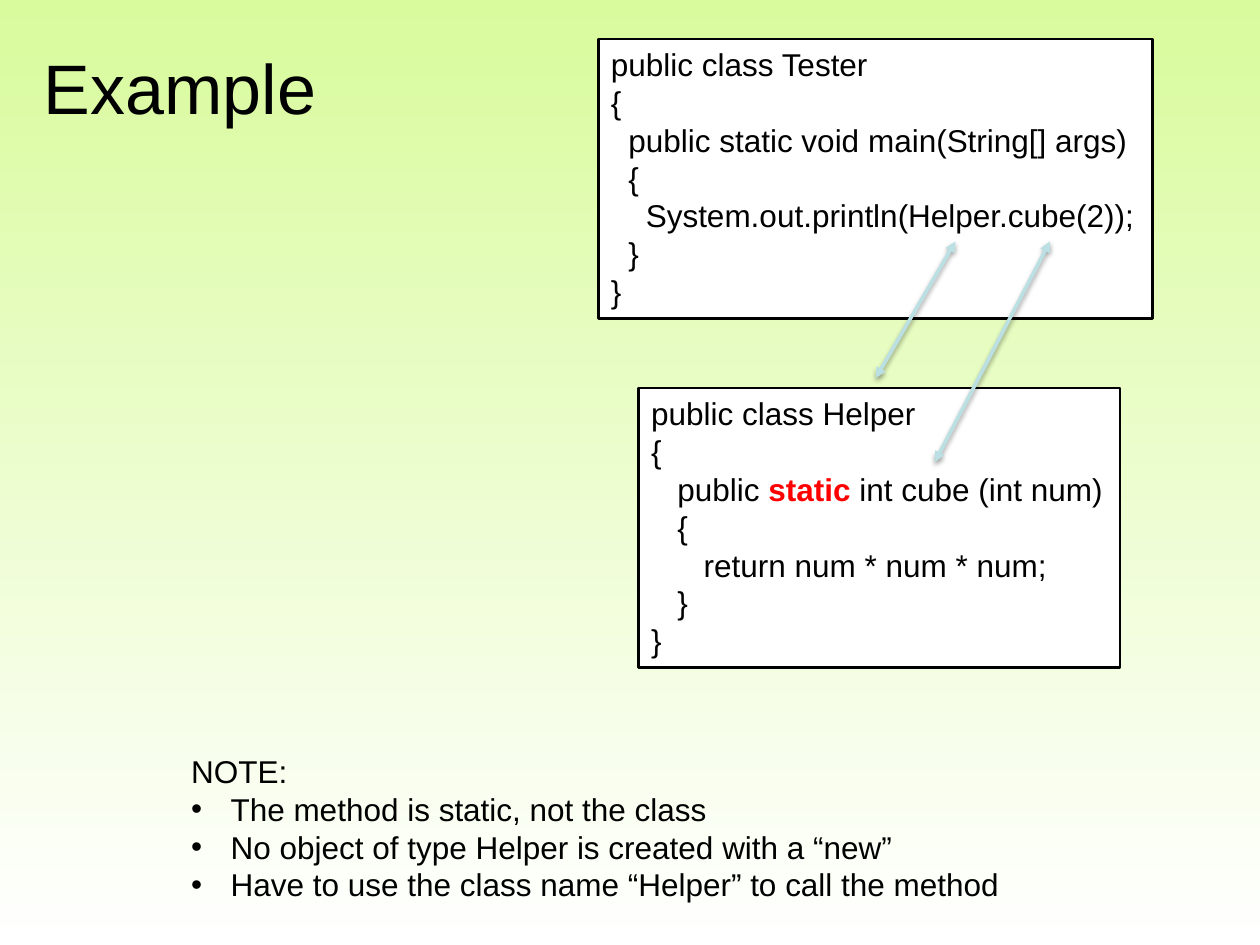
from lxml.etree import SubElement
from pptx import Presentation
from pptx.dml.color import RGBColor
from pptx.enum.shapes import MSO_CONNECTOR, MSO_SHAPE
from pptx.enum.text import MSO_ANCHOR, MSO_AUTO_SIZE, PP_ALIGN
from pptx.oxml.ns import qn
from pptx.util import Pt

FONT = "Arial"
BLACK, WHITE, RED, TEAL = "000000", "FFFFFF", "FF0000", "BBE0E3"
SKY = ("D9FB9D", WHITE)

# Content: each line is a list of (text, colour) runs or a plain string
TITLE = ["Example"]
TESTER = [
    "public class Tester",
    "{",
    "  public static void main(String[] args)",
    "  {",
    "    System.out.println(Helper.cube(2));",
    "  }",
    "}",
]
HELPER = [
    "public class Helper",
    "{",
    [("   public ", BLACK), ("static ", RED), ("int cube (int num)", BLACK)],
    "   {",
    "      return num * num * num;",
    "   }",
    "}",
]
NOTE = ["NOTE:"]
POINTS = [
    "The method is static, not the class",
    "No object of type Helper is created with a “new”",
    "Have to use the class name “Helper” to call the method",
]

# Places in points: left, top, width, height
TITLE_AT = (18, 21.6, 684, 56.2)
CODE = [(TESTER, (342, 22.3, 316.8, 159.8)), (HELPER, (365, 221.8, 275, 159.8))]
NOTE_AT = (102.2, 426.2, 480.2, 94.3)
# Arrows: from x, y, to x, y
ARROWS = [(546, 138, 500.4, 216), (600, 138, 534.2, 264)]
INDENT = 22.5


def tint(code):
    return RGBColor.from_string(code)


def pts(nums):
    return [Pt(n) for n in nums]


def write(frame, lines, size=18, bullets=0):
    """Fill a frame; the last `bullets` lines get a bullet."""
    for i, line in enumerate(lines):
        para = frame.paragraphs[0] if i == 0 else frame.add_paragraph()
        para.alignment = PP_ALIGN.LEFT
        if i >= len(lines) - bullets:
            props = para._p.get_or_add_pPr()
            props.set("marL", str(Pt(INDENT)))
            props.set("indent", str(-Pt(INDENT)))
            SubElement(props, qn("a:buFont"), typeface=FONT)
            SubElement(props, qn("a:buChar"), char="•")
        for text, color in [(line, BLACK)] if isinstance(line, str) else line:
            run = para.add_run()
            run.text = text
            font = run.font
            font.name, font.size = FONT, Pt(size)
            font.bold = color == RED
            font.color.rgb = tint(color)


def fit(frame):
    frame.word_wrap = False
    frame.auto_size = MSO_AUTO_SIZE.SHAPE_TO_FIT_TEXT


def add_arrow(shapes, ends):
    arrow = shapes.add_connector(MSO_CONNECTOR.STRAIGHT, *pts(ends))
    arrow.line.color.rgb = tint(TEAL)
    arrow.line.width = Pt(2)
    stroke = arrow.line._get_or_add_ln()
    for end in ("a:headEnd", "a:tailEnd"):
        SubElement(stroke, qn(end), type="triangle")
    # Soft shadow straight below
    effects = SubElement(arrow._element.spPr, qn("a:effectLst"))
    shade = SubElement(effects, qn("a:outerShdw"), blurRad=str(Pt(3.1)),
                       dist=str(Pt(1.6)), dir="5400000", rotWithShape="0")
    color = SubElement(shade, qn("a:srgbClr"), val=BLACK)
    SubElement(color, qn("a:alpha"), val="38000")


def main():
    deck = Presentation()
    deck.slide_width, deck.slide_height = Pt(720), Pt(540)
    slide = deck.slides.add_slide(deck.slide_layouts[6])
    shapes = slide.shapes

    # Background, green at the top
    fill = slide.background.fill
    fill.gradient()
    fill.gradient_angle = 270
    for stop, color in zip(fill.gradient_stops, SKY):
        stop.color.rgb = tint(color)

    # Title
    frame = shapes.add_textbox(*pts(TITLE_AT)).text_frame
    frame.word_wrap = True
    frame.vertical_anchor = MSO_ANCHOR.MIDDLE
    write(frame, TITLE, 40)

    # Code boxes
    for lines, place in CODE:
        box = shapes.add_shape(MSO_SHAPE.RECTANGLE, *pts(place))
        box.shadow.inherit = False
        box.fill.solid()
        box.fill.fore_color.rgb = tint(WHITE)
        box.line.color.rgb = tint(BLACK)
        box.line.width = Pt(1.5)
        box.text_frame.vertical_anchor = MSO_ANCHOR.TOP
        fit(box.text_frame)
        write(box.text_frame, lines)

    # Arrows from the call to the class and its method
    for ends in ARROWS:
        add_arrow(shapes, ends)

    # Note
    frame = shapes.add_textbox(*pts(NOTE_AT)).text_frame
    fit(frame)
    write(frame, NOTE + POINTS, bullets=len(POINTS))

    deck.save("out.pptx")


if __name__ == "__main__":
    main()
